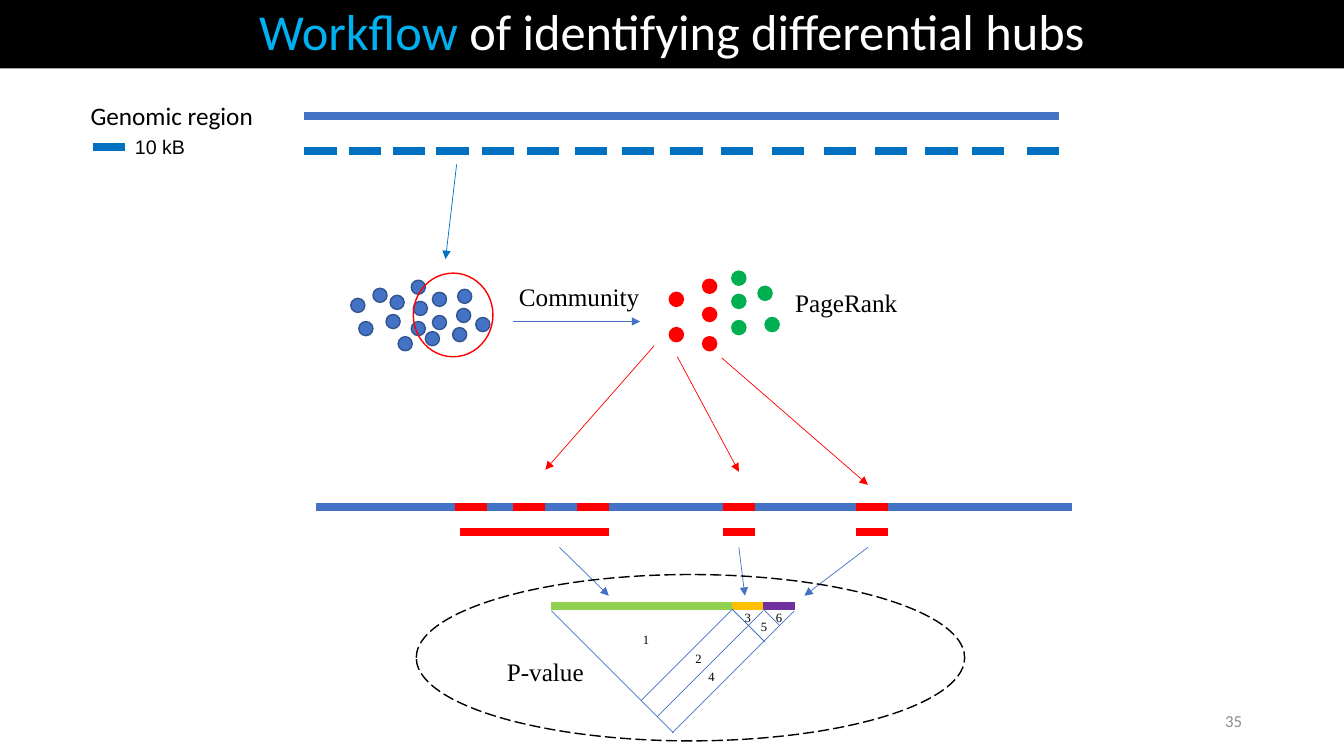
from lxml import etree
from pptx import Presentation, util as u
from pptx.dml.color import RGBColor
from pptx.enum import dml, shapes, text
from pptx.oxml.ns import qn

HUE = {
    "black": "000000", "white": "FFFFFF", "sky": "00B0F0", "grey": "8C8C8C",
    "blue": "4472C4", "navy": "325491", "deep": "0070C0", "red": "FF0000",
    "green": "00B050", "lime": "92D050", "gold": "FFC000", "plum": "7030A0",
}
SERIF = "Times New Roman"


class Board:
    """Draws on a grid whose cells are a tenth of an inch."""

    CELL = 0.1
    BIN = 3.2   # width of one genomic bin
    DOT = 1.4   # diameter of one node

    def __init__(self, wide, high):
        self.deck = Presentation()
        self.deck.slide_width = self.size(wide)
        self.deck.slide_height = self.size(high)
        self.slide = self.deck.slides.add_slide(self.deck.slide_layouts[6])

    def size(self, cells):
        return u.Inches(cells * self.CELL)

    def tint(self, name):
        return RGBColor.from_string(HUE[name])

    def shape(self, kind, box, fill=None, edge=None, dash=None):
        item = self.slide.shapes.add_shape(kind, *map(self.size, box))
        item.shadow.inherit = False
        if fill:
            item.fill.solid()
            item.fill.fore_color.rgb = self.tint(fill)
        else:
            item.fill.background()
        if edge:
            item.line.color.rgb = self.tint(edge)
            item.line.width = u.Pt(1)
            item.line.dash_style = dash
        else:
            item.line.fill.background()
        return item

    def oval(self, box, fill=None, edge=None, dash=None):
        return self.shape(shapes.MSO_SHAPE.OVAL, box, fill, edge, dash)

    def dots(self, spots, fill, edge):
        for x, y in spots:
            self.oval((x, y, self.DOT, self.DOT), fill, edge)

    def line(self, start, end, hue, wide=0.5, arrow=False):
        item = self.slide.shapes.add_connector(
            shapes.MSO_CONNECTOR.STRAIGHT, *map(self.size, (*start, *end)))
        item.line.color.rgb = self.tint(hue)
        item.line.width = u.Pt(wide)
        props = item.element.spPr
        if arrow:
            etree.SubElement(props.find(qn("a:ln")), qn("a:tailEnd"),
                             type="triangle")
        etree.SubElement(props, qn("a:effectLst"))

    def bins(self, lefts, y, hue):
        for x in lefts:
            self.line((x, y), (x + self.BIN, y), hue, 6)

    def words(self, frame, runs, pt, font, align=text.PP_ALIGN.LEFT):
        para = frame.paragraphs[0]
        para.alignment = align
        for part, hue in runs:
            run = para.add_run()
            run.text = part
            run.font.size = u.Pt(pt)
            run.font.name = font
            run.font.color.rgb = self.tint(hue)
        return para

    def label(self, box, part, pt=18, font=SERIF, wrap=False):
        item = self.slide.shapes.add_textbox(*map(self.size, box))
        frame = item.text_frame
        frame.word_wrap = wrap
        frame.auto_size = text.MSO_AUTO_SIZE.SHAPE_TO_FIT_TEXT
        self.words(frame, [(part, "black")], pt, font)

    def title(self, box, runs):
        item = self.shape(shapes.MSO_SHAPE.RECTANGLE, box, "black")
        frame = item.text_frame
        frame.word_wrap = True
        frame.vertical_anchor = text.MSO_ANCHOR.MIDDLE
        para = self.words(frame, runs, 36, "Calibri", text.PP_ALIGN.CENTER)
        para.line_spacing = 0.9

    def page(self, box, number):
        frame = self.slide.shapes.add_textbox(*map(self.size, box)).text_frame
        frame.word_wrap = True
        frame.vertical_anchor = text.MSO_ANCHOR.MIDDLE
        self.words(frame, [(number, "grey")], 12, "Calibri",
                   text.PP_ALIGN.RIGHT)


def main():
    b = Board(133.33, 75)

    # Title and page number
    b.title((0, 0, 133.33, 6.8), [("Workflow", "sky"),
                                  (" of identifying differential hubs", "white")])
    b.page((94.2, 69.5, 30, 4), "35")

    # Genomic region cut into bins
    b.label((8, 9.5, 18.9, 4), "Genomic region", 18, "Calibri", True)
    b.label((12.4, 12.9, 14.4, 3.4), "10 kB", 14, "Arial", True)
    b.bins([9.25], 14.6, "deep")
    b.line((30.2, 11.5), (105.1, 11.5), "blue", 6)
    b.bins([30.2, 34.6, 39, 43.3, 47.8, 52.3, 57, 61.7, 66.5, 71.5, 76.6,
            81.7, 86.8, 91.8, 96.4, 101.9], 15, "deep")
    b.line((45.3, 16.3), (44.2, 25.7), "deep", arrow=True)

    # Network of bins with one community circled
    b.dots([(39.5, 33.4), (40.8, 31.9), (42.2, 32.9), (42.9, 31.3),
            (44.9, 32.5), (45.3, 30.6), (41, 29.9), (42.9, 29),
            (38.3, 31.2), (38.7, 29.3), (40.8, 27.8), (45.4, 28.7),
            (47.2, 31.5), (35.6, 31.9), (34.8, 29.6), (37, 28.6)],
           "blue", "navy")
    b.oval((41, 27.1, 7.9, 8.3), edge="red")
    b.line((50.9, 31.9), (63.5, 31.9), "blue", 1, arrow=True)
    b.label((50.5, 27.4, 14.6, 4), "Community")

    # Ranked nodes
    b.dots([(66.4, 29), (66.4, 32.5), (69.7, 30.5), (69.7, 27.7),
            (69.7, 33.4)], "red", "red")
    b.dots([(72.6, 29.2), (72.6, 31.8), (72.6, 26.9), (75.2, 28.4),
            (75.9, 31.5)], "green", "green")
    b.label((77.9, 28, 12.3, 4), "PageRank")
    for start, end in [((64.9, 34.3), (54.1, 46.6)),
                       ((67.2, 35.4), (73.3, 46.8)),
                       ((71.6, 35.5), (86.1, 48.1))]:
        b.line(start, end, "red", arrow=True)

    # Hubs mapped back to the region, then merged
    b.line((31.3, 50.3), (106.3, 50.3), "blue", 6)
    b.bins([45.1, 50.9, 57.2, 71.7, 84.9], 50.3, "red")
    b.bins([45.6, 48.3, 51.5, 54.7, 57.2, 71.7, 84.9], 52.8, "red")
    for start, end in [((55.5, 54.3), (60.4, 59.1)),
                       ((73.3, 54.3), (73.9, 59.1)),
                       ((86.1, 54.3), (79.8, 59.1))]:
        b.line(start, end, "blue", arrow=True)

    # Hub pairs tested inside the triangle
    b.bins([54.7, 57.7, 60.9, 63.4, 66.5, 69.4], 60.1, "lime")
    b.bins([72.6], 60.1, "gold")
    b.bins([75.7], 60.1, "plum")
    for x, y, run in [(54.7, 60.6, 12.1), (72.6, 60.4, 3.3),
                      (78.8, 60.6, -12.1), (75.7, 60.6, -10.5),
                      (75.7, 60.4, 1.6), (72.7, 60.4, -9.1)]:
        b.line((x, y), (x + run, y + abs(run)), "blue")
    marks = [(62.8, 62.2), (68, 64.1), (72.9, 60), (69.3, 65.9),
             (74.5, 60.9), (76, 60)]
    for n, (x, y) in enumerate(marks, 1):
        b.label((x, y, 2.7, 2.5), str(n), 9)
    b.label((49.3, 64.6, 9.7, 4), "P-value")
    b.oval((41.3, 57, 54.4, 16.5), edge="black",
           dash=dml.MSO_LINE.LONG_DASH)

    b.deck.save("out.pptx")


if __name__ == "__main__":
    main()
